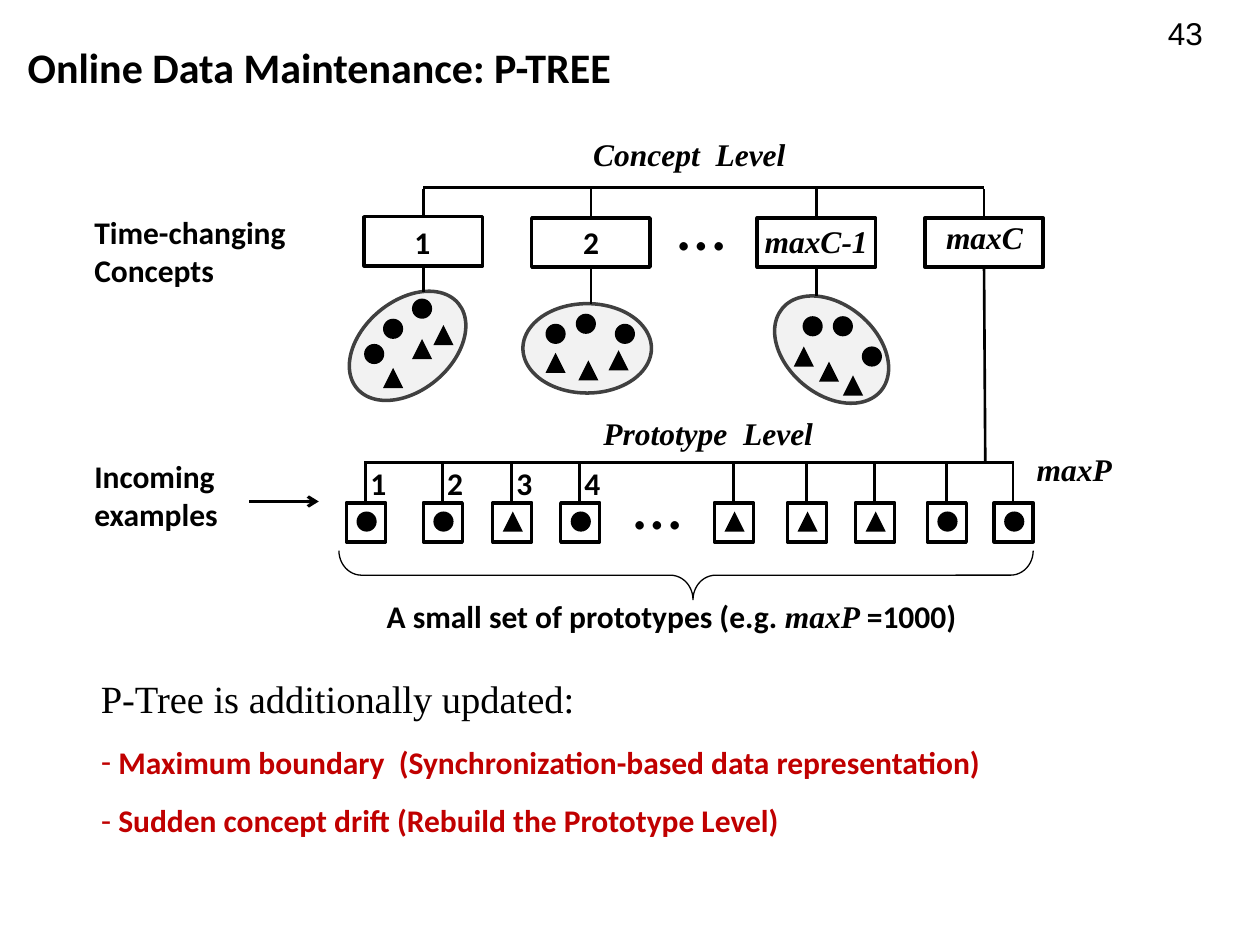
"""Build the P-Tree slide: concept level, prototype level and update rules."""
import lxml.etree
import pptx
import pptx.dml.color
import pptx.enum.shapes
import pptx.enum.text
import pptx.oxml.ns
import pptx.util

Inches = pptx.util.Inches
Pt = pptx.util.Pt
color = pptx.dml.color.RGBColor.from_string
qn = pptx.oxml.ns.qn
SHAPES = pptx.enum.shapes.MSO_SHAPE
MARKS = {"circle": SHAPES.OVAL, "triangle": SHAPES.ISOSCELES_TRIANGLE}
BLACK = "000000"
BOLD = {"name": "Calibri", "size": Pt(18), "bold": True, "italic": False}
TERM = {"name": "Times New Roman", "size": Pt(18), "bold": True, "italic": True}
DOTS = {"name": "Calibri", "size": Pt(40), "bold": False}

presentation = pptx.Presentation()
presentation.slide_width = Inches(10)
presentation.slide_height = Inches(7.5)
slide = presentation.slides.add_slide(presentation.slide_layouts[1])


def write(shape, box, paragraphs, text_color=BLACK):
    """Place a text shape and fill it with paragraphs of (text, format) runs."""
    shape.left, shape.top, shape.width, shape.height = map(Inches, box)
    frame = shape.text_frame
    frame.word_wrap = True
    frame.auto_size = pptx.enum.text.MSO_AUTO_SIZE.NONE
    frame.vertical_anchor = pptx.enum.text.MSO_ANCHOR.TOP
    for index, runs in enumerate(paragraphs):
        paragraph = frame.add_paragraph() if index else frame.paragraphs[0]
        paragraph.alignment = pptx.enum.text.PP_ALIGN.LEFT
        for text, values in runs:
            run = paragraph.add_run()
            run.text = text
            run.font.color.rgb = color(text_color)
            for name, value in values.items():
                setattr(run.font, name, value)
    return frame


def draw(kind, box, fill=None, line=None, width=2, rotation=0):
    """Add a preset shape with an optional fill and outline."""
    shape = slide.shapes.add_shape(kind, *map(Inches, box))
    shape.shadow.inherit = False
    shape.rotation = rotation
    if fill:
        shape.fill.solid()
        shape.fill.fore_color.rgb = color(fill)
    else:
        shape.fill.background()
    if line:
        shape.line.color.rgb = color(line)
        shape.line.width = Pt(width)
    else:
        shape.line.fill.background()
    return shape


title, body = slide.placeholders
write(title, (0.12, 0.28, 7.16, 0.5),
      [[("Online Data Maintenance: P-TREE", {**BOLD, "size": Pt(24)})]])

clusters = [
    ((2.71, 2.39, 1.05, 0.71), 320,
     [(2.89, 2.73), (3.27, 2.37), (3.04, 2.53)],
     [(3.04, 2.92), (3.44, 2.58), (3.27, 2.69)]),
    ((4.15, 2.41, 1.02, 0.71), 0,
     [(4.33, 2.57), (4.57, 2.49), (4.88, 2.57)],
     [(4.33, 2.8), (4.83, 2.78), (4.59, 2.86)]),
    ((6.09, 2.42, 1.02, 0.71), 40,
     [(6.37, 2.51), (6.61, 2.51), (6.84, 2.75)],
     [(6.3, 2.75), (6.69, 2.98), (6.5, 2.87)]),
]
for box, rotation, circles, triangles in clusters:
    draw(SHAPES.OVAL, box, "F2F2F2", "404040", rotation=rotation)
    for kind, points in (("circle", circles), ("triangle", triangles)):
        for left, top in points:
            draw(MARKS[kind], (left, top, 0.16, 0.16), BLACK)

lines = [
    (3.36, 1.49, 7.81, 1.49),
    (2.89, 3.67, 8.05, 3.67),
    (7.81, 2.12, 7.82, 3.67),
]
concepts = [(2.89, 1.72, 2.32), (4.22, 1.73, 2.41), (6.01, 1.73, 2.35), (7.34, 1.73, None)]
for left, top, cluster_top in concepts:
    draw(SHAPES.RECTANGLE, (left, top, 0.94, 0.39), line=BLACK)
    center = left + 0.47
    lines.append((center, 1.5, center, top))
    if cluster_top:
        lines.append((center, top + 0.39, center, cluster_top))

prototypes = [
    (2.75, "circle"), (3.36, "circle"), (3.91, "triangle"),
    (4.45, "circle"), (5.67, "triangle"), (6.25, "triangle"),
    (6.79, "triangle"), (7.36, "circle"), (7.89, "circle"),
]
labels = []
for number, (left, kind) in enumerate(prototypes, 1):
    draw(SHAPES.RECTANGLE, (left, 3.99, 0.31, 0.31), line=BLACK)
    draw(MARKS[kind], (left + 0.08, 4.06, 0.16, 0.16), BLACK)
    lines.append((left + 0.15, 3.67, left + 0.15, 3.99))
    if number <= 4:
        labels.append((str(number), BOLD, (left + 0.09, 3.63, 0.31, 0.4)))

arrow = (1.98, 3.98, 2.53, 3.98)
for line in lines + [arrow]:
    connector = slide.shapes.add_connector(
        pptx.enum.shapes.MSO_CONNECTOR.STRAIGHT, *map(Inches, line))
    connector.line.color.rgb = color(BLACK)
    connector.line.width = Pt(1.75 if line == arrow else 1.5)
    if line == arrow:
        outline = connector.line._get_or_add_ln()
        lxml.etree.SubElement(outline, qn("a:tailEnd"), type="arrow")
    lxml.etree.SubElement(connector._element.spPr, qn("a:effectLst"))

brace = draw(SHAPES.LEFT_BRACE, (5.25, 1.81, 0.39, 5.51), line=BLACK, width=0.75, rotation=270)
brace.adjustments[0] = 0.46
brace.adjustments[1] = 0.51

labels += [
    ("Concept  Level", TERM, (4.61, 1.02, 2.11, 0.4)),
    ("Prototype  Level", TERM, (4.69, 3.24, 2.11, 0.4)),
    ("1", BOLD, (3.19, 1.72, 0.55, 0.4)),
    ("2", BOLD, (4.53, 1.72, 0.55, 0.4)),
    ("maxC-1", TERM, (5.97, 1.71, 1.24, 0.4)),
    ("maxC", TERM, (7.41, 1.68, 1.02, 0.4)),
    ("maxP", TERM, (8.13, 3.52, 0.94, 0.4)),
    ("…", DOTS, (5.28, 1.38, 0.7, 0.77)),
    ("…", DOTS, (4.93, 3.6, 0.7, 0.77)),
    ("Time-changing Concepts", BOLD, (0.65, 1.64, 2.27, 0.83)),
    ("Incoming examples", BOLD, (0.65, 3.58, 1.56, 0.79)),
]
for text, values, box in labels:
    write(slide.shapes.add_textbox(0, 0, 0, 0), box, [[(text, values)]])

write(slide.shapes.add_textbox(0, 0, 0, 0), (2.97, 4.69, 5.55, 0.46),
      [[("A small set of prototypes (e.g. ", BOLD), ("maxP ", TERM), ("=1000)", BOLD)]])
number_frame = write(slide.shapes.add_textbox(0, 0, 0, 0), (9.17, 0, 0.83, 0.4),
                     [[("43", {"name": "Arial", "size": Pt(18)})]])
number_frame.paragraphs[0].line_spacing = 1.2

heading = {"name": "Times New Roman", "size": Pt(22)}
updates = write(body, (0.7, 5.31, 8.36, 1.64), [
    [("P-Tree is additionally updated:", heading)],
    [(" Maximum boundary  (Synchronization-based data representation)", BOLD)],
    [(" Sudden concept drift (Rebuild the Prototype Level)", BOLD)],
], "C00000")
updates.paragraphs[0].runs[0].font.color.rgb = color(BLACK)
for index, paragraph in enumerate(updates.paragraphs):
    paragraph.space_before = Pt(6 if index else 0)
    paragraph.space_after = Pt(6)
    properties = paragraph._p.get_or_add_pPr()
    properties.set("marL", "0")
    properties.set("indent", "0")
    if index:
        lxml.etree.SubElement(properties, qn("a:buChar"), char="-")
    else:
        lxml.etree.SubElement(properties, qn("a:buNone"))

presentation.save("out.pptx")
